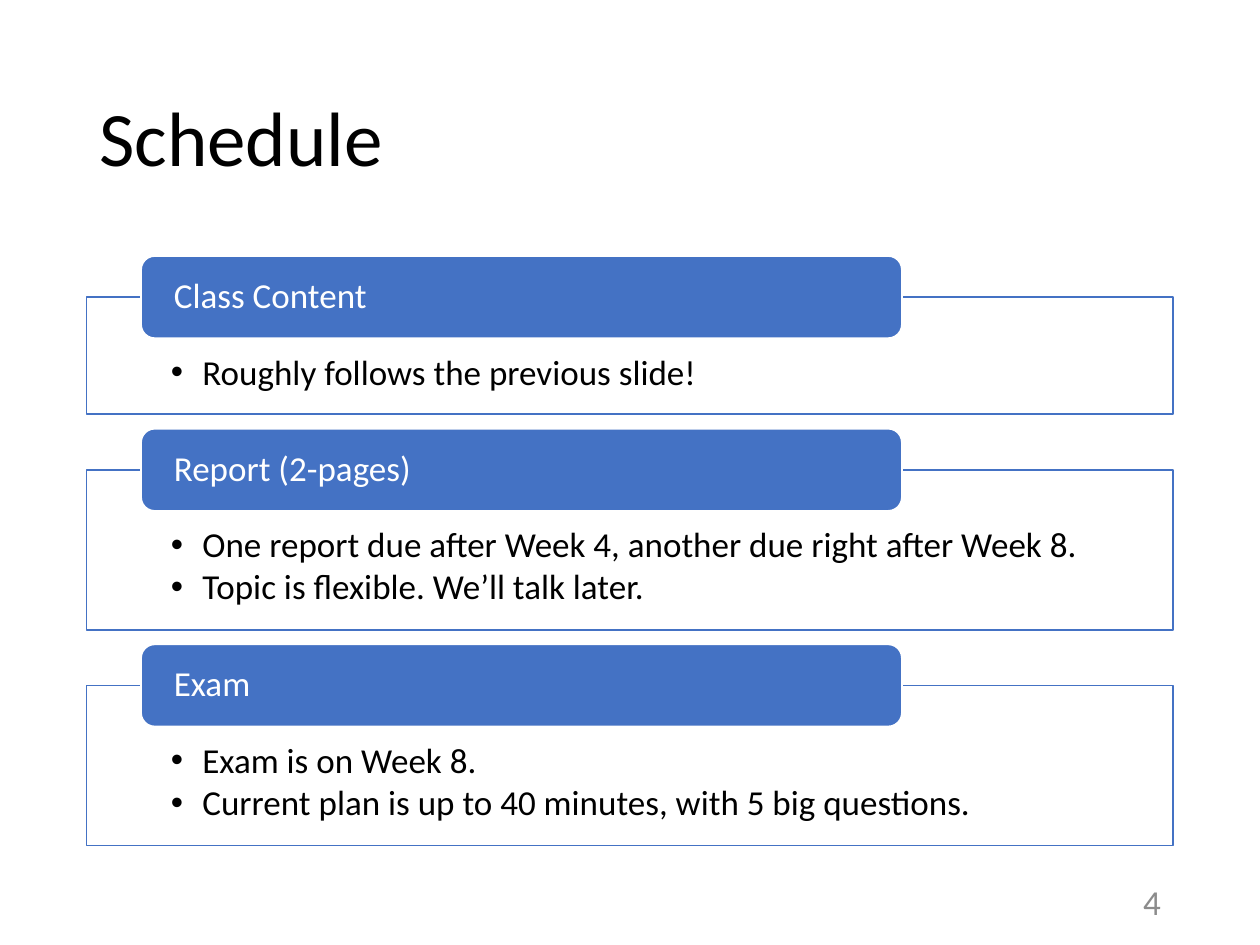
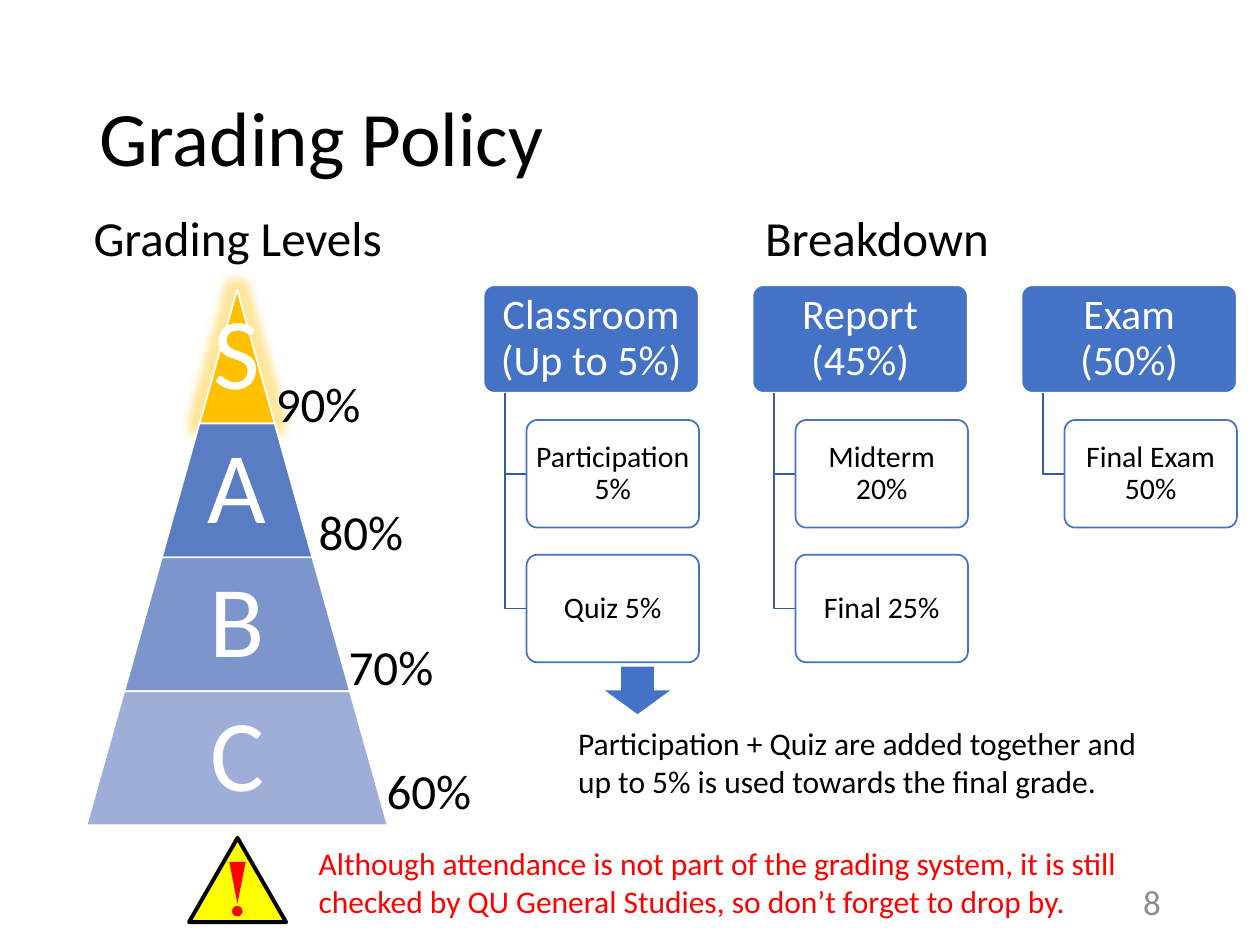
import dataclasses

import lxml.etree
import pptx
import pptx.dml.color
import pptx.enum.shapes
import pptx.enum.text
import pptx.oxml.ns
import pptx.util

Pt = pptx.util.Pt
Kind = pptx.enum.shapes.MSO_SHAPE
Align = pptx.enum.text.PP_ALIGN
Mid = pptx.enum.text.MSO_ANCHOR.MIDDLE
Top = pptx.enum.text.MSO_ANCHOR.TOP
qn = pptx.oxml.ns.qn


@dataclasses.dataclass(frozen=True)
class Theme:
    font: str = "Calibri"
    ink: str = "000000"
    white: str = "FFFFFF"
    blue: str = "4472C4"
    branch: str = "365B9D"
    gold: str = "FFC000"
    tiers: tuple = ("FFC000", "5A7CC3", "7D95CD", "9FAED8")
    red: str = "FF0000"
    yellow: str = "FFFF00"
    gray: str = "8C8C8C"
    title: int = 44
    grade: int = 58
    head: int = 28
    group: int = 24
    body: int = 20
    note: int = 18
    item: int = 17


theme = Theme()


def color(code):
    return pptx.dml.color.RGBColor.from_string(code)


# Text and shape basics

def write(shape, *lines, size=theme.body, ink=theme.ink, align=Align.LEFT,
          anchor=Top, pad=(7.2, 3.6), space=1.0, after=0, bullet=False):
    """Fill a shape with paragraphs; pad is (sides, top[, bottom])."""
    frame = shape.text_frame
    frame.word_wrap = True
    frame.auto_size = pptx.enum.text.MSO_AUTO_SIZE.NONE
    frame.vertical_anchor = anchor
    frame.margin_left = frame.margin_right = Pt(pad[0])
    frame.margin_top, frame.margin_bottom = Pt(pad[1]), Pt(pad[-1])
    for i, line in enumerate(lines):
        para = frame.add_paragraph() if i else frame.paragraphs[0]
        para.text = line
        para.alignment = align
        para.line_spacing = space
        para.space_before, para.space_after = Pt(0), Pt(after)
        for run in para.runs:
            run.font.name = theme.font
            run.font.size = Pt(size)
            run.font.color.rgb = color(ink)
        if bullet:
            props = para._p.get_or_add_pPr()
            props.set("marL", str(Pt(18)))
            props.set("indent", str(-Pt(18)))
            lxml.etree.SubElement(props, qn("a:buFont")).set("typeface", "Arial")
            lxml.etree.SubElement(props, qn("a:buChar")).set("char", "•")


def label(slide, box, *lines, **style):
    write(slide.shapes.add_textbox(*map(Pt, box)), *lines, **style)


def paint(shape, fill=None, line=None, width=1):
    shape.shadow.inherit = False
    if fill:
        shape.fill.solid()
        shape.fill.fore_color.rgb = color(fill)
    else:
        shape.fill.background()
    if line:
        shape.line.color.rgb = color(line)
        shape.line.width = Pt(width)
    else:
        shape.line.fill.background()


def block(slide, kind, box, fill, line=None, width=1, adjust=None):
    shape = slide.shapes.add_shape(kind, *map(Pt, box))
    paint(shape, fill, line, width)
    if adjust is not None:
        shape.adjustments[0] = adjust
    return shape


def glow(shape, code, radius):
    effects = shape._element.spPr.find(qn("a:effectLst"))
    halo = lxml.etree.SubElement(effects, qn("a:glow"))
    halo.set("rad", str(Pt(radius)))
    tint = lxml.etree.SubElement(halo, qn("a:srgbClr"))
    tint.set("val", code)
    lxml.etree.SubElement(tint, qn("a:alpha")).set("val", "40000")


# Shared page: title and number

def page(deck, title, number):
    slide = deck.slides.add_slide(deck.slide_layouts[5])
    head = slide.shapes.title
    head.left, head.top, head.width, head.height = map(Pt, (49.5, 28.8, 621, 104.4))
    write(head, title, size=theme.title, anchor=Mid, space=0.9)
    label(slide, (508.5, 500.5, 162, 28.8), str(number), ink=theme.gray,
          align=Align.RIGHT, anchor=Mid)
    return slide


# Schedule: framed lists, each with a tab on its top edge

def section(slide, top, name, points):
    height = 42.5 + 24.5 * len(points)
    frame = block(slide, Kind.RECTANGLE, (49.5, top, 621, height),
                  theme.white, theme.blue)
    write(frame, *points, pad=(48.2, 33, 11.5), space=0.9, after=2.5, bullet=True)
    tab = block(slide, Kind.ROUNDED_RECTANGLE, (80.6, top - 23.5, 434.8, 47),
                theme.blue, theme.white)
    write(tab, name, ink=theme.white, anchor=Mid, pad=(16.5, 0), space=0.9)
    return top + height + 31.7


def schedule(deck):
    slide = page(deck, "Schedule", 4)
    top = 169.8
    for name, points in (
        ("Class Content", ["Roughly follows the previous slide!"]),
        ("Report (2-pages)", [
            "One report due after Week 4, another due right after Week 8.",
            "Topic is flexible. We’ll talk later."]),
        ("Exam", [
            "Exam is on Week 8.",
            "Current plan is up to 40 minutes, with 5 big questions."]),
    ):
        top = section(slide, top, name, points)


# Grading: pyramid of levels

def pyramid(slide):
    center, top, height, slant = 135.5, 165.5, 76.5, 21.5
    for i, (grade, fill) in enumerate(zip("SABC", theme.tiers)):
        width = 2 * slant * (i + 1)
        box = (center - width / 2, top + i * height, width, height)
        tier = block(slide, Kind.TRAPEZOID, box, fill, theme.white,
                     adjust=slant / min(width, height))
        if i == 0:
            glow(tier, theme.gold, 11)
        label(slide, box, grade, size=theme.grade, ink=theme.white,
              align=Align.CENTER, anchor=Mid, pad=(0, 5.8), space=0.9)
    for text, left, y in (("90%", 150.5, 210.2), ("80%", 175, 283),
                          ("70%", 192.2, 360), ("60%", 213.8, 431.3)):
        label(slide, (left, y, 73.4, 41), text, size=theme.head)


# Grading: one column of the breakdown

def branch(slide, start, end):
    pen = slide.shapes.build_freeform(Pt(start[0]), Pt(start[1]))
    pen.add_line_segments([(Pt(start[0]), Pt(end[1])), (Pt(end[0]), Pt(end[1]))],
                          close=False)
    paint(pen.convert_to_shape(), line=theme.branch)


def column(slide, left, name, items):
    top, height, step = 163, 61.5, 77
    head = block(slide, Kind.ROUNDED_RECTANGLE, (left, top, 123, height),
                 theme.blue, theme.white, adjust=0.1)
    write(head, name, size=theme.group, ink=theme.white, align=Align.CENTER,
          anchor=Mid, pad=(3.6, 2.4), space=0.9)
    for i, text in enumerate(items, 1):
        y, x = top + i * step, left + 24.6
        branch(slide, (left + 12.3, top + height), (x, y + height / 2))
        box = block(slide, Kind.ROUNDED_RECTANGLE, (x, y, 98.5, height),
                    theme.white, theme.blue, adjust=0.1)
        write(box, text, size=theme.item, align=Align.CENTER, anchor=Mid,
              pad=(2.6, 1.7), space=0.9)


def warning(slide):
    label(slide, (175, 478.8, 480.2, 51),
          "Although attendance is not part of the grading system, it is still "
          "checked by QU General Studies, so don’t forget to drop by.",
          size=theme.note, ink=theme.red)
    block(slide, Kind.ISOSCELES_TRIANGLE, (108, 478.8, 55.5, 48.2),
          theme.yellow, theme.ink, 2.25)
    block(slide, Kind.OVAL, (132.6, 517.7, 6, 6), theme.red)
    mark = block(slide, Kind.ISOSCELES_TRIANGLE, (131, 492.5, 9.4, 23.8), theme.red)
    mark.rotation = 180


def grading(deck):
    slide = page(deck, "Grading Policy", 8)
    pyramid(slide)
    for text, left, width in (("Grading Levels", 45.4, 180.7),
                              ("Breakdown", 429.1, 144)):
        label(slide, (left, 115.2, width, 41), text, size=theme.head,
              align=Align.CENTER, pad=(0, 3.6))
    for i, (name, items) in enumerate((
        ("Classroom (Up to 5%)", ["Participation 5%", "Quiz 5%"]),
        ("Report (45%)", ["Midterm 20%", "Final 25%"]),
        ("Exam (50%)", ["Final Exam 50%"]),
    )):
        column(slide, 276.3 + i * 153.7, name, items)
    # Note below the classroom column
    label(slide, (323.3, 410.4, 360, 51),
          "Participation + Quiz are added together and\v"
          "up to 5% is used towards the final grade.", size=theme.note)
    block(slide, Kind.DOWN_ARROW, (345.6, 380.9, 37.4, 27.2), theme.blue)
    warning(slide)


def main():
    deck = pptx.Presentation()
    deck.slide_width, deck.slide_height = Pt(720), Pt(540)
    schedule(deck)
    grading(deck)
    deck.save("out.pptx")


if __name__ == "__main__":
    main()
